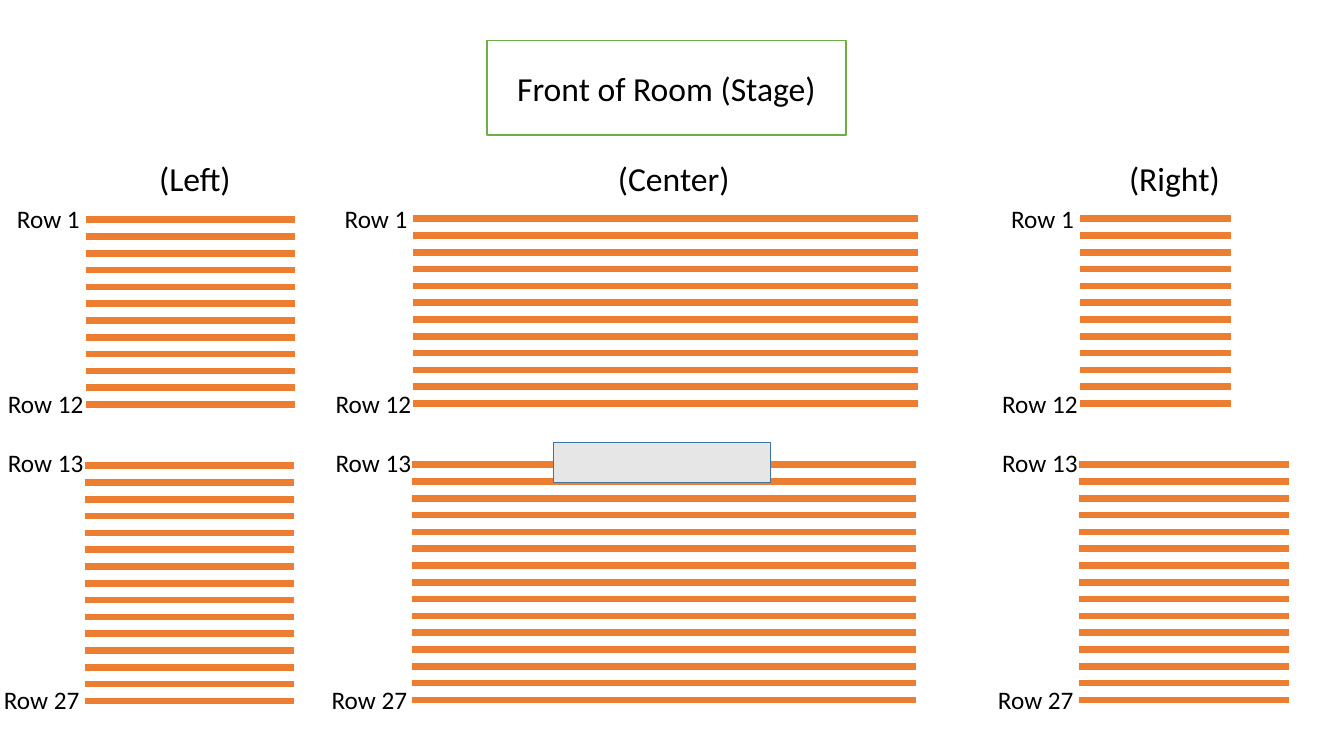
from dataclasses import dataclass

from pptx import Presentation
from pptx.dml.color import RGBColor as RGB
from pptx.enum.shapes import MSO_CONNECTOR as CONN, MSO_SHAPE as SHAPE
from pptx.enum.text import MSO_ANCHOR as ANCHOR, MSO_AUTO_SIZE as FIT, PP_ALIGN as ALIGN
from pptx.oxml.ns import qn
from pptx.util import Inches, Pt
from lxml.etree import SubElement


@dataclass(frozen=True)
class Theme:
    font: str = "Calibri"
    title: float = 24
    label: float = 18
    text: RGB = RGB(0, 0, 0)
    white: RGB = RGB(255, 255, 255)
    stage: RGB = RGB(0x70, 0xAD, 0x47)
    seats: RGB = RGB(0xED, 0x7D, 0x31)
    booth: RGB = RGB(0xE7, 0xE6, 0xE6)
    booth_edge: RGB = RGB(0x43, 0x73, 0x9E)
    row_width: float = 4.75


THEME = Theme()
PITCH = 1 / 6
FRONT_ROWS, BACK_ROWS = 12, 15
BACK_DX, BACK_DY = -0.01, 2.44
ROW_LABELS = [
    ("Row 1", -0.78, 1.97, 0.83),
    ("Row 12", -0.87, 3.8, 0.96),
    ("Row 13", -0.87, 4.39, 0.96),
    ("Row 27", -0.91, 6.74, 0.96),
]
SECTIONS = [
    ("(Left)", 1.48, 0.93, 0.85, 2.18, 2.08, 2.08),
    ("(Right)", 11.1, 1.11, 10.71, 2.17, 1.5, 2.08),
    ("(Center)", 6.03, 1.32, 4.1, 2.17, 5, 5),
]


def add_run(p, text, size):
    r = p.add_run()
    r.text = text
    r.font.name = THEME.font
    r.font.size = Pt(size)
    r.font.color.rgb = THEME.text


def add_label(s, text, x, y, w, h, size):
    tf = s.shapes.add_textbox(Inches(x), Inches(y), Inches(w), Inches(h)).text_frame
    tf.word_wrap = False
    tf.auto_size = FIT.SHAPE_TO_FIT_TEXT
    add_run(tf.paragraphs[0], text, size)


def add_box(s, x, y, w, h, fill, edge):
    sp = s.shapes.add_shape(SHAPE.RECTANGLE, Inches(x), Inches(y), Inches(w), Inches(h))
    sp.shadow.inherit = False
    sp.fill.solid()
    sp.fill.fore_color.rgb = fill
    sp.line.color.rgb = edge
    sp.line.width = Pt(1)
    return sp


def add_rows(s, x, top, width, count):
    for i in range(count):
        y = Inches(top + i * PITCH)
        row = s.shapes.add_connector(CONN.STRAIGHT, Inches(x), y, Inches(x + width), y)
        row.line.color.rgb = THEME.seats
        row.line.width = Pt(THEME.row_width)
        SubElement(row._element.spPr, qn("a:effectLst"))


def add_section(s, name, name_x, name_w, x, top, front_w, back_w):
    add_label(s, name, name_x, 1.52, name_w, 0.5, THEME.title)
    add_rows(s, x, top, front_w, FRONT_ROWS)
    add_rows(s, x + BACK_DX, top + BACK_DY, back_w, BACK_ROWS)
    for text, dx, y, w in ROW_LABELS:
        add_label(s, text, x + dx, y, w, 0.4, THEME.label)


def add_stage(s):
    tf = add_box(s, 4.83, 0.4, 3.56, 0.94, THEME.white, THEME.stage).text_frame
    tf.word_wrap = True
    tf.vertical_anchor = ANCHOR.MIDDLE
    p = tf.paragraphs[0]
    p.alignment = ALIGN.CENTER
    add_run(p, "Front of Room (Stage)", THEME.title)


def main():
    prs = Presentation()
    prs.slide_width, prs.slide_height = Inches(13.33), Inches(7.5)
    s = prs.slides.add_slide(prs.slide_layouts[6])
    add_stage(s)
    for section in SECTIONS:
        add_section(s, *section)
    add_box(s, 5.49, 4.39, 2.15, 0.4, THEME.booth, THEME.booth_edge)
    prs.save("out.pptx")


main()
